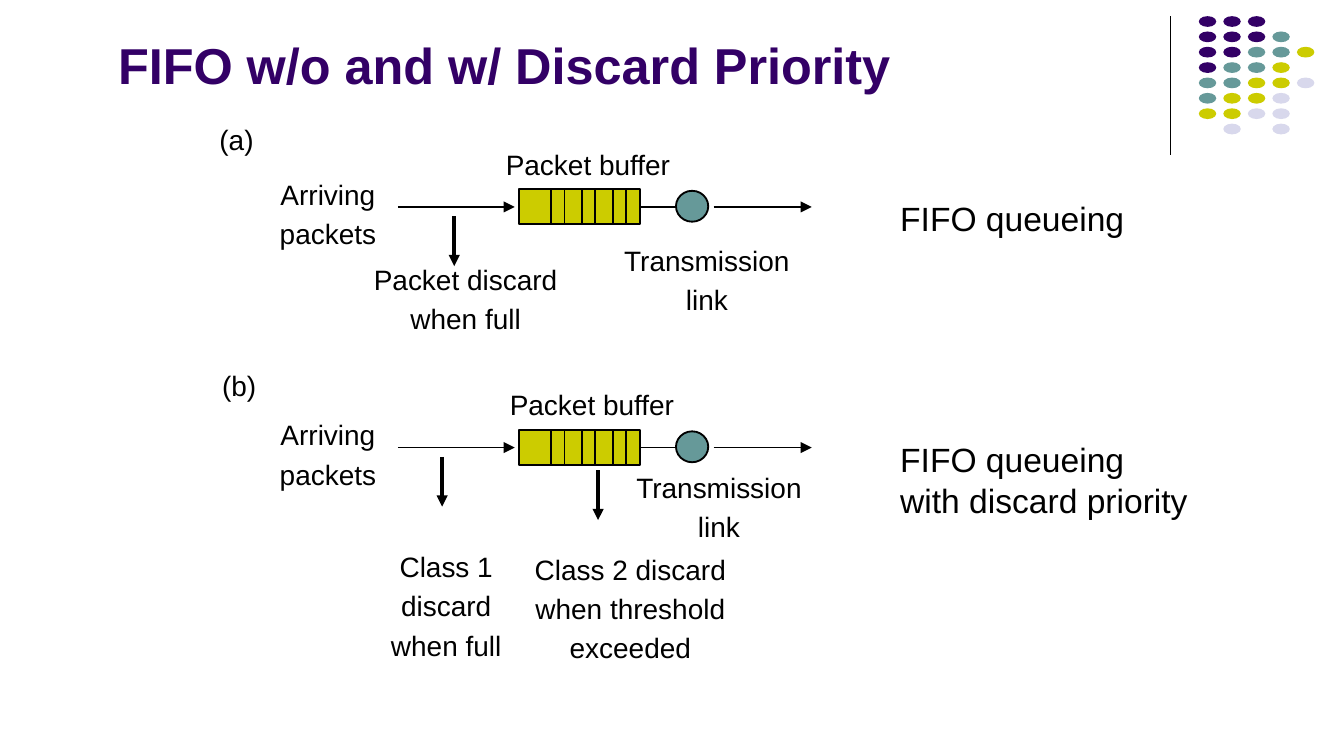
"""Build a slide comparing FIFO queueing without and with discard priority."""
from dataclasses import dataclass
from itertools import product

from lxml.etree import SubElement
from pptx import Presentation
from pptx.dml.color import RGBColor
from pptx.enum.shapes import MSO_CONNECTOR, MSO_SHAPE
from pptx.enum.text import MSO_ANCHOR, MSO_AUTO_SIZE, PP_ALIGN
from pptx.oxml.ns import qn
from pptx.util import Inches, Pt


@dataclass(frozen=True)
class Theme:
    font: str = "Arial"
    black: str = "000000"
    purple: str = "330066"
    teal: str = "669999"
    olive: str = "CCCC00"
    lavender: str = "D8D8EC"
    title_size: float = 27
    caption_size: float = 18
    label_size: float = 15
    label_gap: float = 3
    thin: float = 0.75
    line: float = 1
    thick: float = 2


@dataclass(frozen=True)
class Label:
    text: str
    left: float
    top: float
    width: float
    height: float


@dataclass(frozen=True)
class Panel:
    top: float
    labels: tuple[Label, ...]
    discard_arrows: tuple[tuple[float, float], ...]
    caption: Label


THEME = Theme()
DOT_ROWS = ("PPP", "PPPT", "PPTTO", "PTTO", "TTOOL", "TOOL", "OOLL", " L L")
DOT_COLORS = {"P": THEME.purple, "T": THEME.teal, "O": THEME.olive, "L": THEME.lavender}
PANELS = (
    Panel(
        1.41,
        (
            Label("(a)", 1.53, 0.87, 0.46, 0.33),
            Label("Packet buffer", 3.68, 1.06, 1.39, 0.33),
            Label("Transmission\nlink", 4.56, 1.77, 1.4, 0.63),
            Label("Arriving\npackets", 2, 1.28, 0.88, 0.63),
            Label("Packet discard\nwhen full", 2.7, 1.91, 1.53, 0.63),
        ),
        ((3.38, 1.61),),
        Label("FIFO queueing", 6.6, 1.42, 2.5, 0.4),
    ),
    Panel(
        3.2,
        (
            Label("(b)", 1.55, 2.7, 0.46, 0.33),
            Label("Packet buffer", 3.71, 2.84, 1.39, 0.33),
            Label("Transmission\nlink", 4.65, 3.46, 1.4, 0.63),
            Label("Arriving\npackets", 2, 3.07, 0.88, 0.63),
            Label("Class 1\ndiscard\nwhen full", 2.83, 4.05, 0.98, 0.93),
            Label("Class 2 discard\nwhen threshold\nexceeded", 3.8, 4.07, 1.78, 0.93),
        ),
        ((3.29, 3.4), (4.45, 3.5)),
        Label("FIFO queueing\nwith discard priority", 6.6, 3.22, 2.5, 0.7),
    ),
)


def add_text(slide, label: Label, *, size: float = THEME.label_size,
             color: str = THEME.black, bold: bool = False, wrap: bool = False,
             align=PP_ALIGN.CENTER, anchor=MSO_ANCHOR.TOP,
             gap: float = THEME.label_gap, side: float = 0.07, inset: float = 0.04) -> None:
    box = slide.shapes.add_textbox(
        Inches(label.left), Inches(label.top), Inches(label.width), Inches(label.height))
    frame = box.text_frame
    frame.word_wrap = wrap
    frame.auto_size = MSO_AUTO_SIZE.NONE if wrap else MSO_AUTO_SIZE.SHAPE_TO_FIT_TEXT
    frame.vertical_anchor = anchor
    frame.margin_left = frame.margin_right = Inches(side)
    frame.margin_top = frame.margin_bottom = Inches(inset)
    frame.text = label.text
    for index, paragraph in enumerate(frame.paragraphs):
        paragraph.alignment = align
        paragraph.space_before = Pt(gap if index else 0)
        for run in paragraph.runs:
            run.font.name = THEME.font
            run.font.size = Pt(size)
            run.font.bold = bold
            run.font.color.rgb = RGBColor.from_string(color)


def add_line(slide, start: tuple[float, float], end: tuple[float, float], *,
             weight: float = THEME.line, arrow: bool = False) -> None:
    connector = slide.shapes.add_connector(
        MSO_CONNECTOR.STRAIGHT, *(Inches(value) for value in (*start, *end)))
    connector.line.color.rgb = RGBColor.from_string(THEME.black)
    connector.line.width = Pt(weight)
    if arrow:
        SubElement(connector.line._get_or_add_ln(), qn("a:tailEnd"), type="triangle")
    SubElement(connector._element.spPr, qn("a:effectLst"))


def add_figure(slide, kind: MSO_SHAPE, left: float, top: float, width: float,
               height: float, *, fill: str, outlined: bool = True) -> None:
    shape = slide.shapes.add_shape(
        kind, Inches(left), Inches(top), Inches(width), Inches(height))
    shape.shadow.inherit = False
    shape.fill.solid()
    shape.fill.fore_color.rgb = RGBColor.from_string(fill)
    if outlined:
        shape.line.color.rgb = RGBColor.from_string(THEME.black)
        shape.line.width = Pt(THEME.line)
    else:
        shape.line.fill.background()


def add_dots(slide) -> None:
    column_step = (9.65 - 8.92) / 4
    row_step = (0.92 - 0.12) / 7
    for row, codes in enumerate(DOT_ROWS):
        for column, code in enumerate(codes):
            if code in DOT_COLORS:
                add_figure(slide, MSO_SHAPE.OVAL, 8.92 + column * column_step,
                           0.12 + row * row_step, 0.13, 0.08,
                           fill=DOT_COLORS[code], outlined=False)


def add_panel(slide, panel: Panel) -> None:
    top, bottom, middle = panel.top, panel.top + 0.26, panel.top + 0.13
    add_figure(slide, MSO_SHAPE.RECTANGLE, 3.86, top, 0.9, 0.26, fill=THEME.olive)
    for pair, offset in product(range(3), (0, 0.1)):
        divider = 4.1 + pair * 0.23 + offset
        add_line(slide, (divider, top), (divider, bottom))
    add_figure(slide, MSO_SHAPE.OVAL, 5.03, top + 0.01, 0.24, 0.23, fill=THEME.teal)
    for start, end, arrow in ((4.77, 5.02, False), (5.31, 6.04, True), (2.96, 3.83, True)):
        add_line(slide, (start, middle), (end, middle), arrow=arrow)
    for left, arrow_top in panel.discard_arrows:
        add_line(slide, (left, arrow_top), (left, arrow_top + 0.37),
                 weight=THEME.thick, arrow=True)
    for label in panel.labels:
        add_text(slide, label)
    add_text(slide, panel.caption, size=THEME.caption_size, wrap=True,
             align=PP_ALIGN.LEFT, gap=0, side=0.1, inset=0.05)


def main() -> None:
    presentation = Presentation()
    presentation.slide_width = Inches(10)
    presentation.slide_height = Inches(10) * 9 // 16
    slide = presentation.slides.add_slide(presentation.slide_layouts[6])
    add_line(slide, (8.71, 0.12), (8.71, 1.15), weight=THEME.thin)
    add_dots(slide)
    for panel in PANELS:
        add_panel(slide, panel)
    add_text(slide, Label("FIFO w/o and w/ Discard Priority", 0.78, 0.23, 6.98, 0.52),
             size=THEME.title_size, color=THEME.purple, bold=True, wrap=True,
             align=PP_ALIGN.LEFT, anchor=MSO_ANCHOR.BOTTOM, side=0.1, inset=0.05)
    presentation.save("out.pptx")


main()
